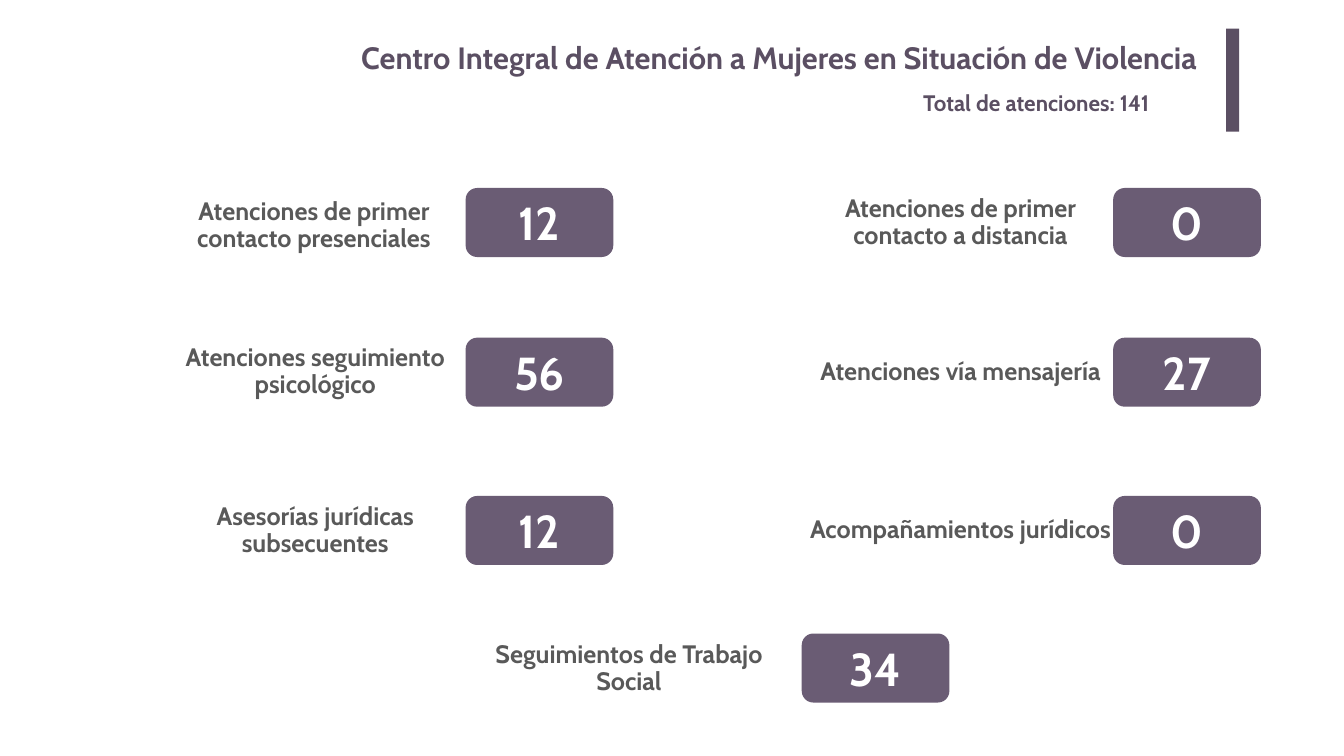
from dataclasses import dataclass

import pptx
import pptx.dml.color
import pptx.enum.shapes
import pptx.enum.text
import pptx.util

PX = 9144  # EMU per px, 100 px to the inch
ALIGN = pptx.enum.text.PP_ALIGN
ANCHOR = pptx.enum.text.MSO_ANCHOR
SHAPE = pptx.enum.shapes.MSO_SHAPE


@dataclass(frozen=True)
class Theme:
    font: str = "Cabin"
    heading: str = "5B4F63"
    badge: str = "6A5C74"
    label: str = "595959"
    number: str = "FFFFFF"
    title_size: int = 44
    total_size: int = 32
    label_size: int = 36
    number_size: int = 66


THEME = Theme()
BADGE_WIDTH, BADGE_HEIGHT = 293, 137
LEFT_BADGES, RIGHT_BADGES, LAST_BADGE = 924, 2209, 1591
ROWS = (373, 670, 984, 1257)

# Label, label frame, number, badge left, badge top
SERVICES = (
    ("Atenciones de primer contacto presenciales", (349, 380, 548, 137), 12, LEFT_BADGES, ROWS[0]),
    ("Atenciones de primer contacto a distancia", (1648, 381, 516, 121), 0, RIGHT_BADGES, ROWS[0]),
    ("Atenciones seguimiento psicológico", (235, 712, 781, 53), 56, LEFT_BADGES, ROWS[1]),
    ("Atenciones vía mensajería", (1610, 686, 592, 105), 27, RIGHT_BADGES, ROWS[1]),
    ("Asesorías jurídicas subsecuentes", (323, 1013, 605, 80), 12, LEFT_BADGES, ROWS[2]),
    ("Acompañamientos jurídicos", (1583, 1020, 646, 64), 0, RIGHT_BADGES, ROWS[2]),
    ("Seguimientos de Trabajo Social", (924, 1257, 648, 141), 34, LAST_BADGE, ROWS[3]),
)


def px(*lengths):
    return [pptx.util.Emu(length * PX) for length in lengths]


def write(box, text, size, color, align, anchor, line_spacing=1.0):
    frame = box.text_frame
    frame.word_wrap = True
    frame.auto_size = pptx.enum.text.MSO_AUTO_SIZE.NONE
    frame.vertical_anchor = anchor
    frame.text = text
    para = frame.paragraphs[0]
    para.alignment = align
    para.line_spacing = line_spacing
    para.font.name = THEME.font
    para.font.size = pptx.util.Pt(size)
    para.font.bold = True
    para.font.color.rgb = pptx.dml.color.RGBColor.from_string(color)


def add_block(page, kind, frame, color):
    block = page.shapes.add_shape(kind, *px(*frame))
    block.shadow.inherit = False
    block.fill.solid()
    block.fill.fore_color.rgb = pptx.dml.color.RGBColor.from_string(color)
    block.line.fill.background()
    return block


def add_heading(page):
    title = page.shapes.title
    title.left, title.top, title.width, title.height = px(366, 67, 2030, 102)
    write(title, "Centro Integral de Atención a Mujeres en Situación de Violencia",
          THEME.title_size, THEME.heading, ALIGN.RIGHT, ANCHOR.TOP)
    frame = title.text_frame
    frame.margin_left, frame.margin_top, frame.margin_right, frame.margin_bottom = px(20, 10, 20, 10)
    add_block(page, SHAPE.RECTANGLE, (2433, 57, 26, 204), THEME.heading)
    total = page.shapes.add_textbox(*px(1822, 171, 592, 64))
    write(total, "Total de atenciones: 141", THEME.total_size, THEME.heading,
          ALIGN.LEFT, ANCHOR.TOP)


def add_service(page, text, frame, number, left, top):
    label = page.shapes.add_textbox(*px(*frame))
    write(label, text, THEME.label_size, THEME.label, ALIGN.CENTER, ANCHOR.MIDDLE, 0.9)
    badge = add_block(page, SHAPE.ROUNDED_RECTANGLE,
                      (left, top, BADGE_WIDTH, BADGE_HEIGHT), THEME.badge)
    write(badge, str(number), THEME.number_size, THEME.number, ALIGN.CENTER, ANCHOR.MIDDLE)


def main():
    deck = pptx.Presentation()
    deck.slide_width, deck.slide_height = px(2667, 1500)
    page = deck.slides.add_slide(deck.slide_layouts.get_by_name("Title Only"))
    add_heading(page)
    for service in SERVICES:
        add_service(page, *service)
    deck.save("out.pptx")


if __name__ == "__main__":
    main()
